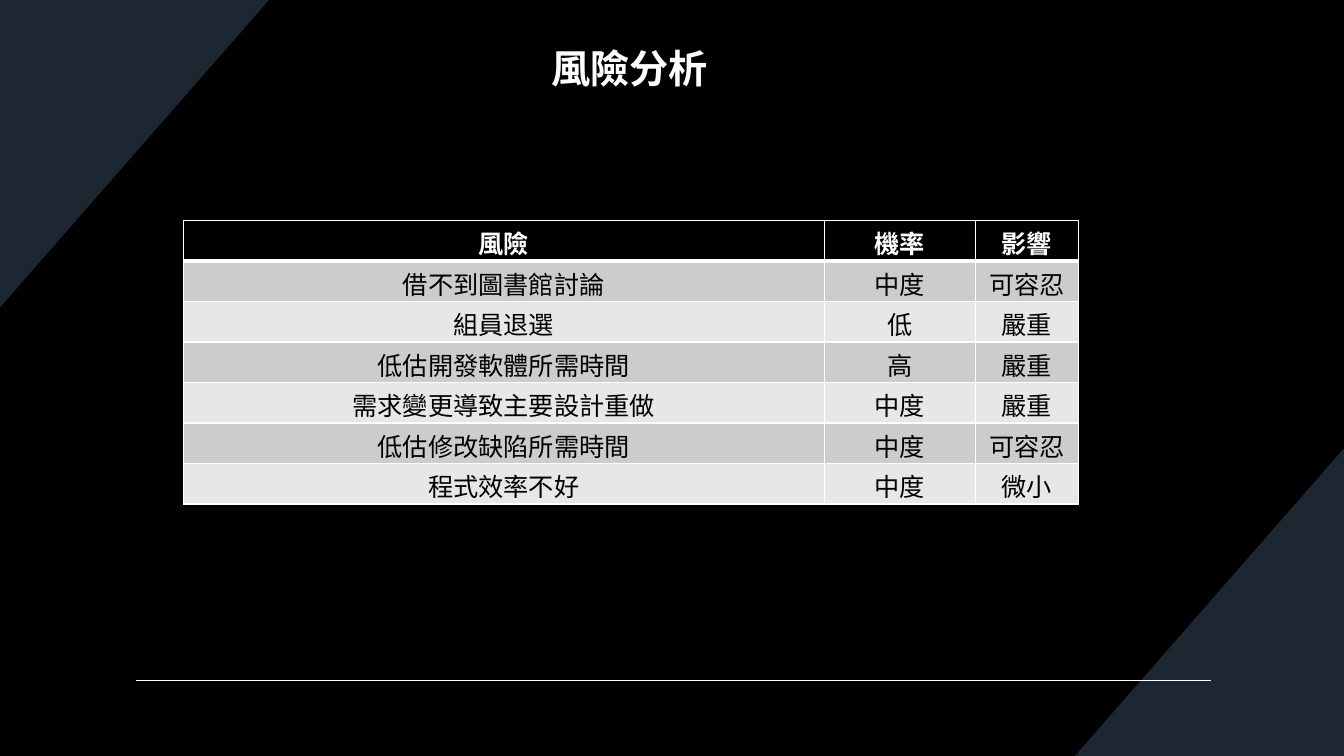
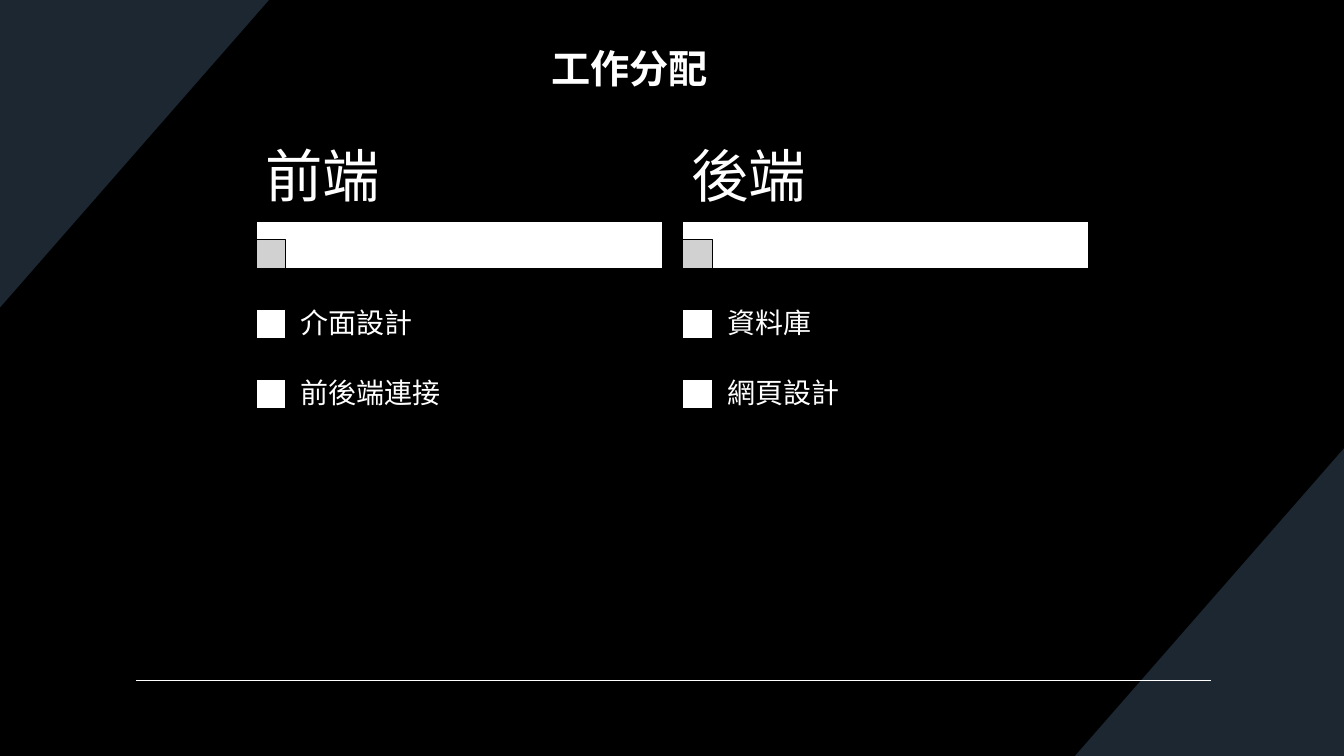
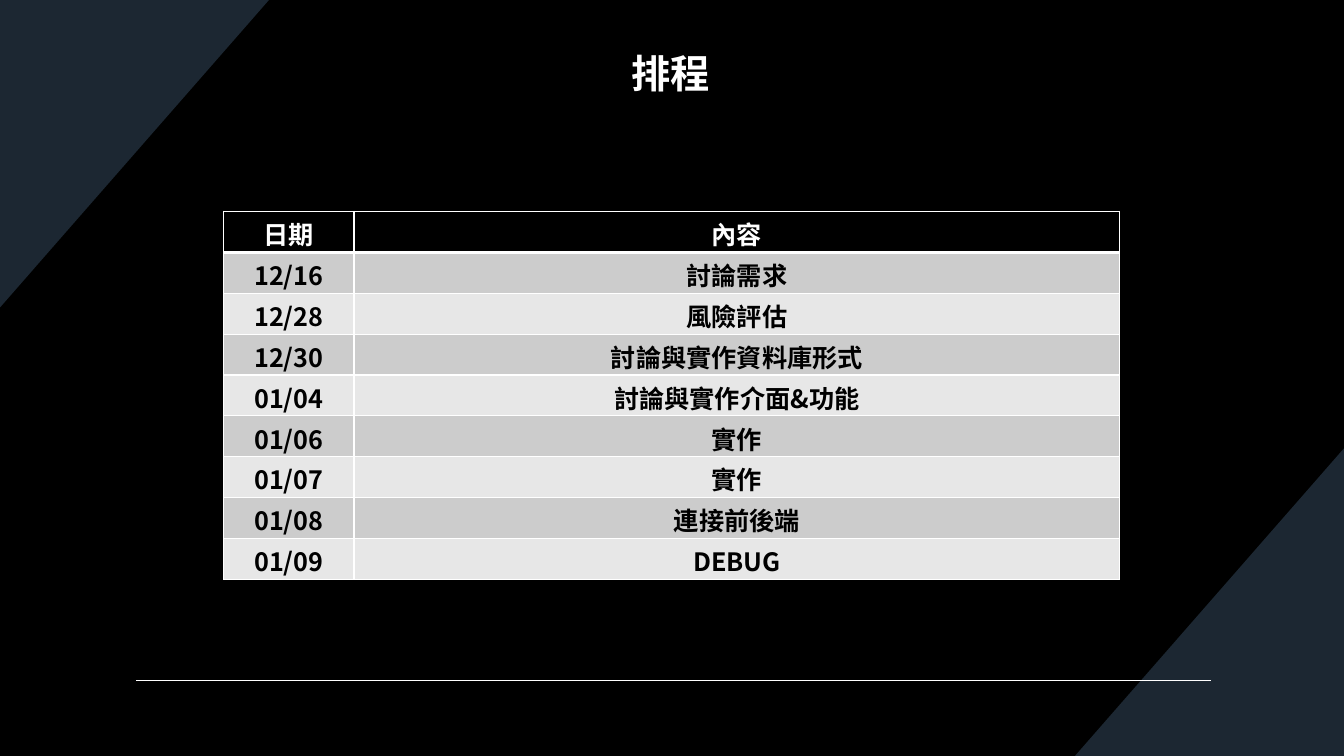
"""Builds three project slides: risk analysis, work split and schedule."""
from lxml.etree import SubElement
from pptx import Presentation
from pptx.dml.color import RGBColor
from pptx.enum.shapes import MSO_CONNECTOR, MSO_SHAPE
from pptx.enum.text import MSO_ANCHOR, PP_ALIGN
from pptx.oxml.ns import qn
from pptx.util import Cm, Pt

COLOURS = {
    "black": "000000",
    "white": "FFFFFF",
    "corner": "1C2732",
    "dark_row": "CCCCCC",
    "light_row": "E7E7E7",
}
FONT = "Noto Sans CJK SC"
WIDTH, HEIGHT = 33.87, 19.05
CORNER_WIDTH, CORNER_HEIGHT = 6.78, 7.75


def paint(target, colour):
    target.solid()
    target.fore_color.rgb = RGBColor.from_string(COLOURS[colour])


def write(frame, text, size, colour="white", bold=False, latin=FONT):
    para = frame.paragraphs[0]
    para.text = text
    para.font.size = Pt(size)
    para.font.bold = bold
    para.font.name = latin
    paint(para.font.fill, colour)
    SubElement(para._p.find(".//" + qn("a:defRPr")), qn("a:ea"), typeface=FONT)
    return para


deck = Presentation()
deck.slide_width, deck.slide_height = Cm(WIDTH), Cm(HEIGHT)
paint(deck.slide_master.background.fill, "black")

titles = [
    ("風險分析", 13.64, 1.0, 4.5),
    ("工作分配", 13.64, 1.0, 4.5),
    ("排程", 15.67, 1.12, 2.52),
]
corners = [
    [(WIDTH, HEIGHT - CORNER_HEIGHT), (WIDTH, HEIGHT), (WIDTH - CORNER_WIDTH, HEIGHT)],
    [(0, CORNER_HEIGHT), (0, 0), (CORNER_WIDTH, 0)],
]
pages = []
for title, left, top, width in titles:
    page = deck.slides.add_slide(deck.slide_layouts[6])
    pages.append(page)
    for points in corners:
        start, *rest = [(Cm(x), Cm(y)) for x, y in points]
        outline = page.shapes.build_freeform(*start)
        outline.add_line_segments(rest)
        corner = outline.convert_to_shape()
        corner.shadow.inherit = False
        paint(corner.fill, "corner")
        corner.line.fill.background()
    rule = page.shapes.add_connector(
        MSO_CONNECTOR.STRAIGHT, Cm(3.43), Cm(17.14), Cm(30.53), Cm(17.14))
    paint(rule.line.fill, "white")
    rule.line.width = Pt(1)
    SubElement(rule._element.spPr, qn("a:effectLst"))
    box = page.shapes.add_textbox(Cm(left), Cm(top), Cm(width), Cm(1.68))
    box.text_frame.word_wrap = False
    write(box.text_frame, title, 28, bold=True)

risk_page, work_page, schedule_page = pages

risks = [
    ("風險", "機率", "影響"),
    ("借不到圖書館討論", "中度", "可容忍"),
    ("組員退選", "低", "嚴重"),
    ("低估開發軟體所需時間", "高", "嚴重"),
    ("需求變更導致主要設計重做", "中度", "嚴重"),
    ("低估修改缺陷所需時間", "中度", "可容忍"),
    ("程式效率不好", "中度", "微小"),
]
schedule = [
    ("日期", "內容"),
    ("12/16", "討論需求"),
    ("12/28", "風險評估"),
    ("12/30", "討論與實作資料庫形式"),
    ("01/04", "討論與實作介面&功能"),
    ("01/06", "實作"),
    ("01/07", "實作"),
    ("01/08", "連接前後端"),
    ("01/09", "DEBUG"),
]
tables = [
    (risk_page, risks, 4.62, 5.56, (16.15, 3.81, 2.6), 1.02, False),
    (schedule_page, schedule, 5.64, 5.33, (3.28, 19.3), 1.03, True),
]
for page, rows, left, top, widths, row_height, body_bold in tables:
    table = page.shapes.add_table(
        len(rows), len(widths), Cm(left), Cm(top),
        Cm(sum(widths)), Cm(row_height * len(rows))).table
    for column, width in zip(table.columns, widths):
        column.width = Cm(width)
    for r, row in enumerate(rows):
        table.rows[r].height = Cm(row_height)
        fill = "black" if r == 0 else ("light_row", "dark_row")[r % 2]
        for c, text in enumerate(row):
            cell = table.cell(r, c)
            cell.margin_top, cell.margin_bottom = Cm(0.1), Cm(0)
            para = write(cell.text_frame, text, 18,
                         "black" if r else "white", body_bold or r == 0)
            para.alignment = PP_ALIGN.CENTER
            for side in ("lnL", "lnR", "lnT", "lnB"):
                under_header = (r, side) in ((0, "lnB"), (1, "lnT"))
                border = SubElement(cell._tc.get_or_add_tcPr(), qn("a:" + side),
                                    w=str(Pt(3 if under_header else 1)))
                SubElement(SubElement(border, qn("a:solidFill")),
                           qn("a:srgbClr"), val=COLOURS["white"])
            paint(cell.fill, fill)

teams = [
    ("前端", ["介面設計", "前後端連接"]),
    ("後端", ["資料庫", "網頁設計"]),
]
TEAM_WIDTH, SQUARE, TASK_HEIGHT = 10.24, 0.75, 1.76
for t, (team, tasks) in enumerate(teams):
    left = 6.45 + t * 10.75
    blocks = [(5.59, TEAM_WIDTH, 1.19, "white"), (6.03, SQUARE, SQUARE, "dark_row")]
    labels = [(team, left, 3.43, TEAM_WIDTH, 2.16, 41, 0.23, 0.15)]
    for i, task in enumerate(tasks):
        top = 7.29 + i * TASK_HEIGHT
        blocks.append((top + (TASK_HEIGHT - SQUARE) / 2, SQUARE, SQUARE, "white"))
        labels.append((task, left + 0.72, top, 9.5, TASK_HEIGHT, 20, 0.41, 0.41))
    for top, width, height, colour in blocks:
        block = work_page.shapes.add_shape(
            MSO_SHAPE.RECTANGLE, Cm(left), Cm(top), Cm(width), Cm(height))
        block.shadow.inherit = False
        paint(block.fill, colour)
        paint(block.line.fill, "black")
        block.line.width = Pt(1)
        if colour == "dark_row":
            shade = block._element.spPr.find(qn("a:solidFill")).find(qn("a:srgbClr"))
            SubElement(shade, qn("a:alpha"), val="90000")
    for text, x, top, width, height, size, side_inset, end_inset in labels:
        box = work_page.shapes.add_textbox(Cm(x), Cm(top), Cm(width), Cm(height))
        frame = box.text_frame
        frame.word_wrap = True
        frame.vertical_anchor = MSO_ANCHOR.MIDDLE
        frame.margin_left = frame.margin_right = Cm(side_inset)
        frame.margin_top = frame.margin_bottom = Cm(end_inset)
        write(frame, text, size, latin="Roboto").line_spacing = 0.9

deck.save("out.pptx")
